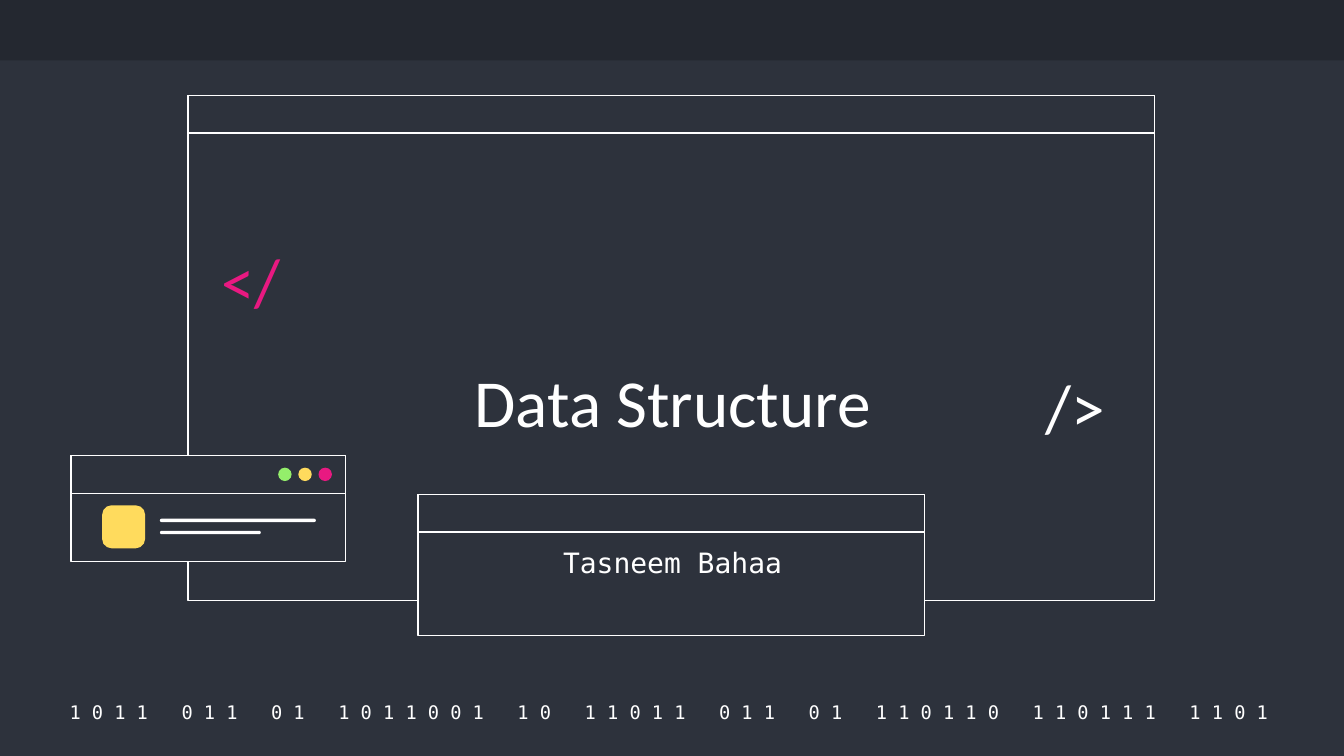
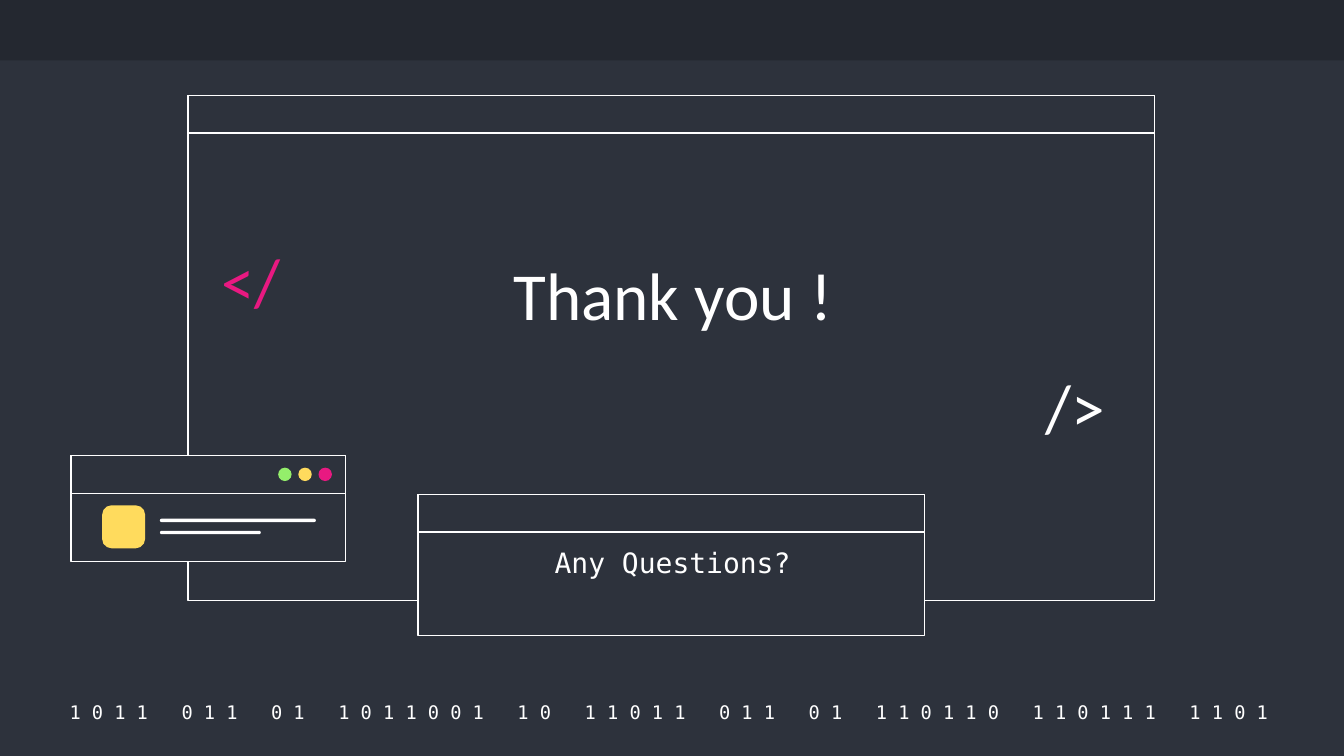
from pptx import Presentation
from pptx.dml.color import RGBColor
from pptx.enum.shapes import MSO_SHAPE as Shape
from pptx.enum.text import MSO_ANCHOR as Anchor, PP_ALIGN as Align
from pptx.util import Inches, Pt

COLORS = {
    "background": "2D323C",
    "band": "242830",
    "white": "FFFFFF",
    "pink": "E81981",
    "yellow": "FFDB5D",
    "green": "94EE6B",
}
TITLE_FONT = "Calibri"
CODE_FONT = "DejaVu Sans Mono"
BITS = "1011 011 01 1011001 10 11011 011 01 110110 110111 1101"
BAR_HEIGHT = 0.28

# Title, its top and height, subtitle
SLIDES = [
    ("Data Structure", 1.41, 1.98, "Tasneem Bahaa"),
    ("Thank you !", 1.23, 1.36, "Any Questions?"),
]
# Left, top, width, height
WINDOWS = [
    (1.4, 0.71, 7.19, 3.76),
    (3.11, 3.68, 3.77, 1.05),
    (0.53, 3.39, 2.04, 0.79),
]


def add_filled(slide, kind, left, top, width, height, color, outlined=False):
    shape = slide.shapes.add_shape(
        kind, Inches(left), Inches(top), Inches(width), Inches(height))
    shape.shadow.inherit = False
    shape.fill.solid()
    shape.fill.fore_color.rgb = RGBColor.from_string(COLORS[color])
    if outlined:
        shape.line.color.rgb = RGBColor.from_string(COLORS["white"])
        shape.line.width = Pt(0.75)
    else:
        shape.line.fill.background()
    return shape


def add_text(slide, text, left, top, width, height, *, size=36, font=TITLE_FONT,
             color="white", align=Align.CENTER, anchor=Anchor.MIDDLE, spacing=0.9):
    box = slide.shapes.add_textbox(
        Inches(left), Inches(top), Inches(width), Inches(height))
    frame = box.text_frame
    frame.word_wrap = True
    frame.vertical_anchor = anchor
    frame.margin_left = frame.margin_right = Inches(0.1)
    frame.margin_top = frame.margin_bottom = Inches(0.1)
    paragraph = frame.paragraphs[0]
    paragraph.alignment = align
    paragraph.line_spacing = spacing
    run = paragraph.add_run()
    run.text = text
    run.font.name = font
    run.font.size = Pt(size)
    run.font.color.rgb = RGBColor.from_string(COLORS[color])


presentation = Presentation()
presentation.slide_width = Inches(10)
presentation.slide_height = presentation.slide_width * 9 // 16

for title, title_top, title_height, subtitle in SLIDES:
    slide = presentation.slides.add_slide(presentation.slide_layouts[6])
    slide.background.fill.solid()
    slide.background.fill.fore_color.rgb = RGBColor.from_string(COLORS["background"])

    # Top band and binary footer
    add_filled(slide, Shape.RECTANGLE, 0, 0, 10, 0.45, "band")
    spaced_bits = "".join(f"{bit} " for bit in BITS)
    add_text(slide, spaced_bits, 0.38, 5.2, 9.27, 0.2,
             size=10, font=CODE_FONT, spacing=1.0)

    # Windows, each with a title bar
    for left, top, width, height in WINDOWS:
        for part_height in (height, BAR_HEIGHT):
            add_filled(slide, Shape.RECTANGLE, left, top, width, part_height,
                       "background", outlined=True)

    # Code brackets, title and subtitle
    add_text(slide, "</", 1.55, 1.79, 0.77, 0.66, color="pink", align=Align.LEFT)
    add_text(slide, "/>", 7.68, 2.73, 0.77, 0.66, align=Align.LEFT)
    add_text(slide, title, 2.26, title_top, 5.49, title_height, anchor=Anchor.BOTTOM)
    add_text(slide, subtitle, 3.34, 3.96, 3.33, 0.78,
             size=15, font=CODE_FONT, anchor=Anchor.TOP, spacing=1.0)

    # Contents of the small window
    icon = add_filled(slide, Shape.ROUNDED_RECTANGLE, 0.76, 3.76, 0.32, 0.32, "yellow")
    icon.adjustments[0] = 0.22
    for line_top, line_width in ((3.86, 1.16), (3.95, 0.75)):
        text_line = add_filled(slide, Shape.ROUNDED_RECTANGLE,
                               1.19, line_top, line_width, 0.025, "white")
        text_line.adjustments[0] = 0.5
    for index, color in enumerate(("green", "yellow", "pink")):
        add_filled(slide, Shape.OVAL, 2.07 + 0.15 * index, 3.48, 0.1, 0.1, color)

presentation.save("out.pptx")
